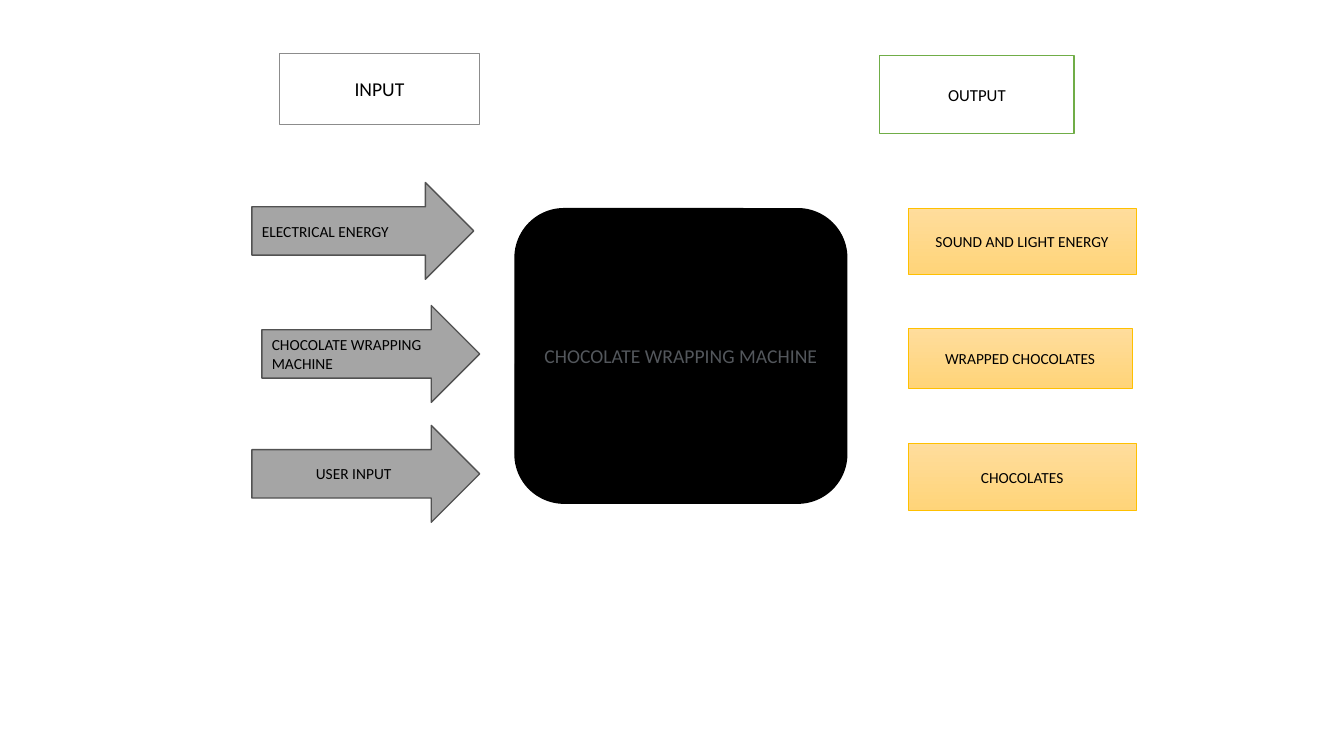
from pptx import Presentation
from pptx.dml.color import RGBColor
from pptx.enum import shapes, text
from pptx.util import Cm, Pt

BLACK = RGBColor(0x00, 0x00, 0x00)
WHITE = RGBColor(0xFF, 0xFF, 0xFF)
GREEN = RGBColor(0x70, 0xAD, 0x47)
FRAME_GRAY = RGBColor(0x8C, 0x8C, 0x8C)
ARROW_GRAY = RGBColor(0xA5, 0xA5, 0xA5)
ARROW_EDGE = RGBColor(0x52, 0x52, 0x52)
LABEL_GRAY = RGBColor(0x53, 0x57, 0x5C)
GOLD = RGBColor(0xFF, 0xC0, 0x00)
GOLD_TOP = RGBColor(0xFF, 0xDD, 0x9C)
GOLD_BOTTOM = RGBColor(0xFF, 0xD4, 0x79)

LEFT, CENTER = text.PP_ALIGN.LEFT, text.PP_ALIGN.CENTER
RECTANGLE = shapes.MSO_SHAPE.RECTANGLE

presentation = Presentation()
presentation.slide_width = Cm(33.87)
presentation.slide_height = Cm(19.05)
slide = presentation.slides.add_slide(presentation.slide_layouts[6])


def add_box(kind, box, label, size, fill, line, line_width=1, color=BLACK, align=CENTER):
    """Add a labelled shape; a pair of fill colours gives a vertical gradient."""
    shape = slide.shapes.add_shape(kind, *[Cm(length) for length in box])
    shape.shadow.inherit = False
    if isinstance(fill, RGBColor):
        shape.fill.solid()
        shape.fill.fore_color.rgb = fill
    else:
        shape.fill.gradient()
        shape.fill.gradient_angle = 270
        for stop, stop_color in zip(shape.fill.gradient_stops, fill):
            stop.color.rgb = stop_color
    shape.line.color.rgb = line
    shape.line.width = Pt(line_width)
    frame = shape.text_frame
    frame.text = label
    frame.word_wrap = True
    frame.vertical_anchor = text.MSO_ANCHOR.MIDDLE
    paragraph = frame.paragraphs[0]
    paragraph.alignment = align
    font = paragraph.runs[0].font
    font.name = "Calibri"
    font.size = Pt(size)
    font.color.rgb = color


# Column headings
add_box(RECTANGLE, (7.04, 1.35, 5.05, 1.78), "INPUT", 14, WHITE, FRAME_GRAY, 0.5)
add_box(RECTANGLE, (22.17, 1.4, 4.9, 1.96), "OUTPUT", 12, WHITE, GREEN)

# Machine in the middle
add_box(shapes.MSO_SHAPE.ROUNDED_RECTANGLE, (12.98, 5.26, 8.36, 7.42),
        "CHOCOLATE WRAPPING MACHINE", 14, BLACK, BLACK, color=LABEL_GRAY)

# Input arrows
inputs = [
    ("ELECTRICAL ENERGY", 6.35, 4.6, 5.59, LEFT),
    ("CHOCOLATE WRAPPING MACHINE", 6.6, 7.7, 5.49, LEFT),
    ("USER INPUT", 6.35, 10.72, 5.74, CENTER),
]
for label, left, top, width, align in inputs:
    add_box(shapes.MSO_SHAPE.RIGHT_ARROW, (left, top, width, 2.44), label, 11,
            ARROW_GRAY, ARROW_EDGE, align=align)

# Output boxes
outputs = [
    ("SOUND AND LIGHT ENERGY", 5.26, 5.74, 1.65),
    ("WRAPPED CHOCOLATES", 8.28, 5.64, 1.5),
    ("CHOCOLATES", 11.18, 5.74, 1.68),
]
for label, top, width, height in outputs:
    add_box(RECTANGLE, (22.89, top, width, height), label, 11,
            (GOLD_TOP, GOLD_BOTTOM), GOLD, 0.5)

presentation.save("out.pptx")
